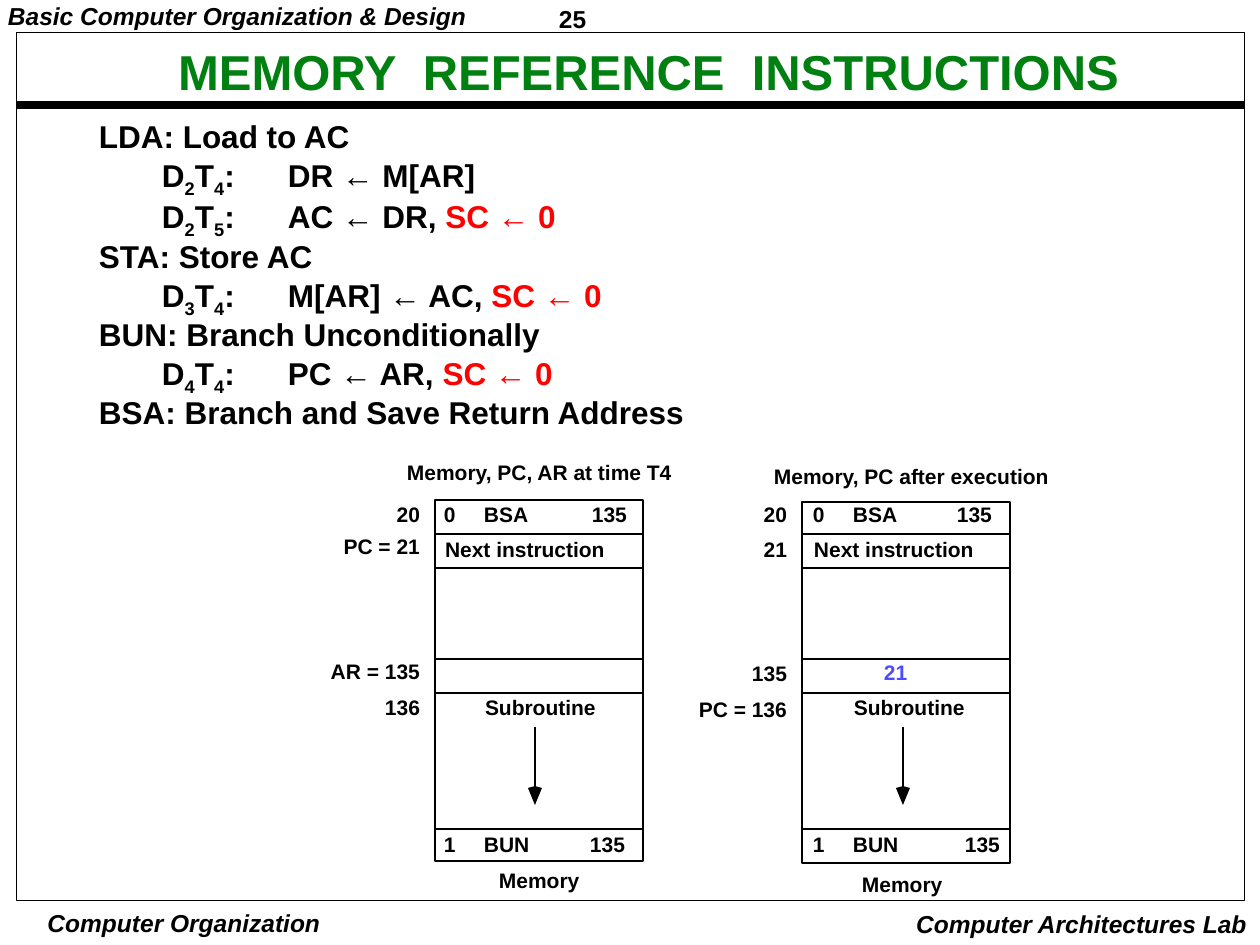
from dataclasses import dataclass

import pptx
import pptx.dml.color
import pptx.enum.shapes
import pptx.enum.text
import pptx.oxml.ns
import pptx.util
from lxml import etree

EMU_PER_PX = 914400 / 126
BLACK = pptx.dml.color.RGBColor(0x00, 0x00, 0x00)
GREEN = pptx.dml.color.RGBColor(0x00, 0x80, 0x11)
RED = pptx.dml.color.RGBColor(0xFF, 0x00, 0x00)
BLUE = pptx.dml.color.RGBColor(0x4C, 0x4C, 0xFF)
FONT = "Arial"
TAB_STEP = 105
LEFT = pptx.enum.text.PP_ALIGN.LEFT
CENTER = pptx.enum.text.PP_ALIGN.CENTER
RIGHT = pptx.enum.text.PP_ALIGN.RIGHT


def px(value: float) -> int:
    return round(value * EMU_PER_PX)


@dataclass
class Label:
    text: str
    left: int
    top: int
    width: int
    height: int = 35
    size: int = 12
    color: pptx.dml.color.RGBColor = BLACK
    italic: bool = False
    align: int = LEFT
    spacing: float = 0.9
    insets: tuple = (13, 6)


@dataclass
class Instruction:
    heading: str
    steps: tuple = ()


@dataclass
class Step:
    decode: str
    timing: str
    action: str
    clears_counter: bool = True


@dataclass
class MemoryColumn:
    left: int
    top: int
    text_left: int
    arrow_x: int
    operands: tuple  # left edges of the upper and lower operand
    addresses: tuple  # (text, top)
    caption: Label
    footer: Label
    saved: tuple = ()


def style_run(para, text: str, size: int, color, italic: bool = False):
    span = para.add_run()
    span.text = text
    font = span.font
    font.name, font.size, font.bold = FONT, pptx.util.Pt(size), True
    font.italic = italic
    font.color.rgb = color
    return span


def set_frame(frame, insets: tuple, anchor=pptx.enum.text.MSO_ANCHOR.TOP) -> None:
    frame.word_wrap = True
    frame.auto_size = pptx.enum.text.MSO_AUTO_SIZE.NONE
    frame.margin_left = frame.margin_right = px(insets[0])
    frame.margin_top = frame.margin_bottom = px(insets[1])
    frame.vertical_anchor = anchor


def place(shape, left: int, top: int, width: int, height: int) -> None:
    shape.left, shape.top = px(left), px(top)
    shape.width, shape.height = px(width), px(height)


def add_label(page, label: Label) -> None:
    box = page.shapes.add_textbox(px(label.left), px(label.top), px(label.width), px(label.height))
    set_frame(box.text_frame, label.insets)
    para = box.text_frame.paragraphs[0]
    para.alignment, para.line_spacing = label.align, label.spacing
    style_run(para, label.text, label.size, label.color, label.italic)


def add_line(page, x1: int, y1: int, x2: int, y2: int, weight: float = 1) -> None:
    line = page.shapes.add_connector(
        pptx.enum.shapes.MSO_CONNECTOR.STRAIGHT, px(x1), px(y1), px(x2), px(y2))
    line.line.color.rgb = BLACK
    line.line.width = pptx.util.Pt(weight)
    etree.SubElement(line._element.spPr, pptx.oxml.ns.qn("a:effectLst"))


def add_outline(page, left: int, top: int, width: int, height: int, weight: float) -> None:
    box = page.shapes.add_shape(
        pptx.enum.shapes.MSO_SHAPE.RECTANGLE, px(left), px(top), px(width), px(height))
    box.shadow.inherit = False
    box.fill.background()
    box.line.color.rgb = BLACK
    box.line.width = pptx.util.Pt(weight)


def add_down_arrow(page, x: int) -> None:
    add_line(page, x, 727, x, 789)
    builder = page.shapes.build_freeform(x - 7, 788, scale=EMU_PER_PX)
    builder.add_line_segments([(x, 786), (x + 7, 788), (x, 805)])
    head = builder.convert_to_shape()
    head.shadow.inherit = False
    head.fill.solid()
    head.fill.fore_color.rgb = BLACK
    head.line.fill.background()


def add_body_paragraph(frame, first: bool):
    para = frame.paragraphs[0] if first else frame.add_paragraph()
    properties = para._p.get_or_add_pPr()
    properties.set("marL", "0")
    properties.set("indent", "0")
    etree.SubElement(properties, pptx.oxml.ns.qn("a:buNone"))
    tabs = etree.SubElement(properties, pptx.oxml.ns.qn("a:tabLst"))
    for stop in (1, 2):
        etree.SubElement(tabs, pptx.oxml.ns.qn("a:tab"), pos=str(px(stop * TAB_STEP)), algn="l")
    para.line_spacing = 0.97
    para.space_before = pptx.util.Pt(0)
    return para


def fill_body(frame, instructions: list) -> None:
    for number, instruction in enumerate(instructions):
        para = add_body_paragraph(frame, number == 0)
        style_run(para, instruction.heading, 18, BLACK)
        for step in instruction.steps:
            para = add_body_paragraph(frame, False)
            for letter, index in (("\tD", step.decode), ("T", step.timing)):
                style_run(para, letter, 18, BLACK)
                subscript = style_run(para, index, 18, BLACK)
                subscript._r.get_or_add_rPr().set("baseline", "-25000")
            ending = ", " if step.clears_counter else ""
            style_run(para, f":\t{step.action}{ending}", 18, BLACK)
            if step.clears_counter:
                style_run(para, "SC ← 0", 18, RED)


def draw_memory(page, column: MemoryColumn) -> None:
    add_outline(page, column.left, column.top, 208, 361, 1)
    for y in (534, 568, 659, 693, 829):
        add_line(page, column.left, y, column.left + 207, y)
    x, (upper, lower) = column.text_left, column.operands
    cells = [("0", x, 498, 40), ("BSA", x + 40, 498, 75), ("135", upper, 498, 65),
             ("Next instruction", x + 1, 533, 195), ("Subroutine", x + 41, 691, 145),
             ("1", x, 828, 40), ("BUN", x + 40, 828, 78), ("135", lower, 828, 65)]
    for cell in cells:
        add_label(page, Label(*cell))
    for text, top in column.addresses:
        add_label(page, Label(text, column.left - 122, top, 120, align=RIGHT))
    for text, left, top in column.saved:
        add_label(page, Label(text, left, top, 52, color=BLUE))
    add_down_arrow(page, column.arrow_x)
    add_label(page, column.caption)
    add_label(page, column.footer)


INSTRUCTIONS = [
    Instruction("LDA: Load to AC", (Step("2", "4", "DR ← M[AR]", False),
                                    Step("2", "5", "AC ← DR"))),
    Instruction("STA: Store AC", (Step("3", "4", "M[AR] ← AC"),)),
    Instruction("BUN: Branch Unconditionally", (Step("4", "4", "PC ← AR"),)),
    Instruction("BSA: Branch and Save Return Address"),
]
HEADERS = [
    Label("25", 551, 0, 136, 37, 14, spacing=1.01, insets=(8, 4)),
    Label("Basic Computer Organization & Design", 0, 0, 490, 34, 14, italic=True, insets=(8, 4)),
    Label("Computer Organization", 40, 907, 288, 33, 14, italic=True, align=CENTER,
          spacing=1.0, insets=(4, 1)),
    Label("Computer Architectures Lab", 890, 903, 370, 42, 14, italic=True, align=RIGHT,
          spacing=1.0),
]
COLUMNS = [
    MemoryColumn(435, 500, 431, 535, (579, 577),
                 (("20", 498), ("PC = 21", 530), ("AR = 135", 655), ("136", 691)),
                 Label("Memory, PC, AR at time T4", 394, 456, 305),
                 Label("Memory", 486, 864, 115)),
    MemoryColumn(802, 502, 800, 903, (944, 952),
                 (("20", 498), ("21", 533), ("135", 657), ("PC = 136", 693)),
                 Label("Memory, PC after execution", 761, 460, 315),
                 Label("Memory", 849, 868, 115),
                 saved=(("21", 871, 656),)),
]


def main() -> None:
    deck = pptx.Presentation()
    deck.slide_width, deck.slide_height = px(1260), px(945)
    page = deck.slides.add_slide(deck.slide_layouts[1])

    # Header, footer and page frame
    for label in HEADERS:
        add_label(page, label)
    add_line(page, 16, 105, 1244, 105, 4.5)
    add_outline(page, 16, 33, 1228, 868, 0.5)

    # Title
    title = page.shapes.title
    place(title, 155, 38, 987, 73)
    set_frame(title.text_frame, (9, 4), pptx.enum.text.MSO_ANCHOR.MIDDLE)
    para = title.text_frame.paragraphs[0]
    para.alignment, para.line_spacing = CENTER, 0.9
    style_run(para, "MEMORY  REFERENCE  INSTRUCTIONS", 28, GREEN)

    # Register transfers
    body = page.placeholders[1]
    place(body, 90, 115, 640, 325)
    set_frame(body.text_frame, (9, 4))
    fill_body(body.text_frame, INSTRUCTIONS)

    # Memory before and after the call
    for column in COLUMNS:
        draw_memory(page, column)

    deck.save("out.pptx")


if __name__ == "__main__":
    main()
